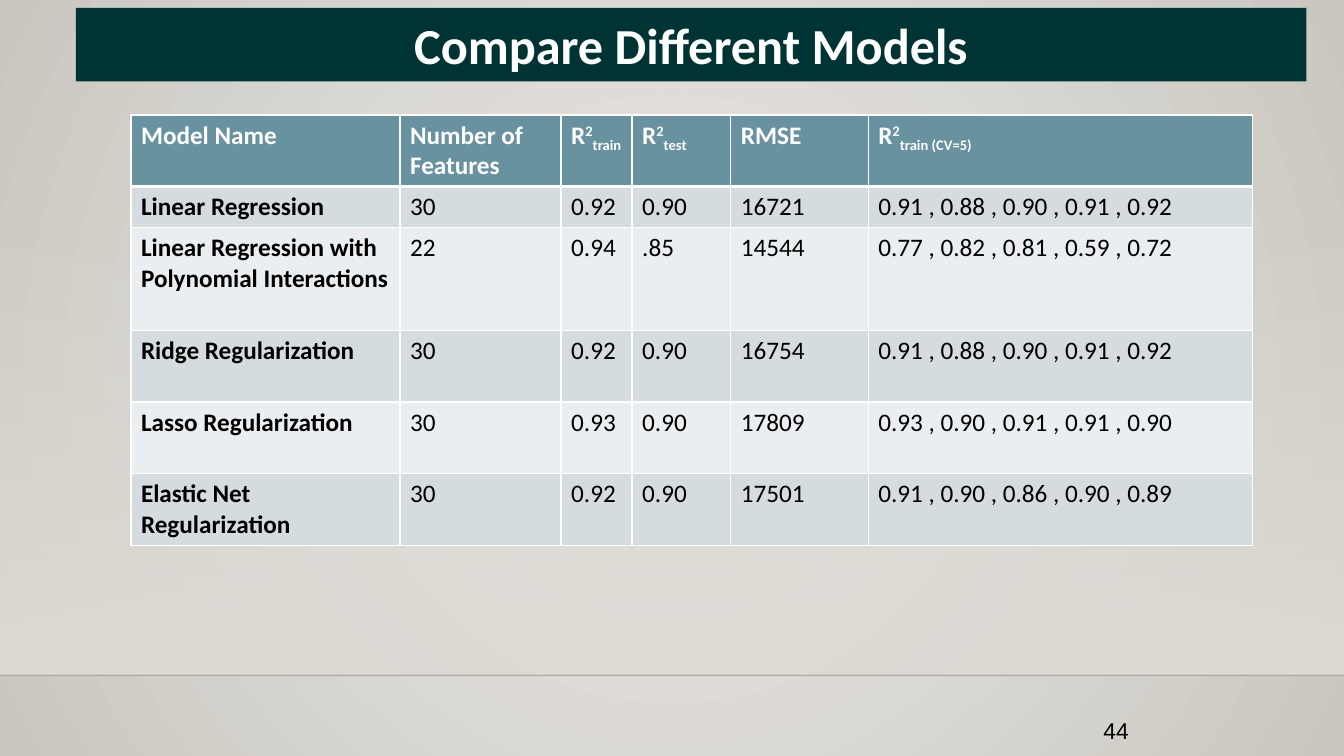
import pptx
import pptx.util
import pptx.dml.color
import pptx.enum.shapes
import pptx.enum.text
import pptx.oxml
import pptx.oxml.ns

Cm, Pt = pptx.util.Cm, pptx.util.Pt
RGBColor = pptx.dml.color.RGBColor

# Content
TITLE = "Compare Different Models"
PAGE = "44"
# A heading is a list of (text, baseline shift in percent)
HEADINGS = [
    [("Model Name", 0)],
    [("Number of Features", 0)],
    [("R", 0), ("2", 30), ("train", -25)],
    [("R", 0), ("2", 30), ("test", -25)],
    [("RMSE", 0)],
    [("R", 0), ("2", 30), ("train (CV=5)", -25)],
]
MODELS = [
    ("Linear Regression", "30", "0.92", "0.90", "16721", "0.91 , 0.88 , 0.90 , 0.91 , 0.92"),
    ("Linear Regression with Polynomial Interactions", "22", "0.94", ".85", "14544",
     "0.77 , 0.82 , 0.81 , 0.59 , 0.72"),
    ("Ridge Regularization", "30", "0.92", "0.90", "16754", "0.91 , 0.88 , 0.90 , 0.91 , 0.92"),
    ("Lasso Regularization", "30", "0.93", "0.90", "17809", "0.93 , 0.90 , 0.91 , 0.91 , 0.90"),
    ("Elastic Net Regularization", "30", "0.92", "0.90", "17501",
     "0.91 , 0.90 , 0.86 , 0.90 , 0.89"),
]
COLUMN_WIDTHS = [6.78, 4.06, 1.79, 2.49, 3.46, 9.68]
ROW_HEIGHTS = [1.8, 1.04, 2.58, 1.81, 1.81, 1.81]

WHITE = RGBColor(0xFF, 0xFF, 0xFF)
BLACK = RGBColor(0x00, 0x00, 0x00)
DARK_TEAL = RGBColor(0x00, 0x33, 0x33)
HEADER_BLUE = RGBColor(0x68, 0x92, 0xA0)
BANDS = [RGBColor(0xD4, 0xDC, 0xDF), RGBColor(0xEB, 0xEE, 0xF0)]
CENTRE_GREY = RGBColor(0xEC, 0xEA, 0xE7)
EDGE_GREY = RGBColor(0xCA, 0xC7, 0xC1)
WALL_GREY = RGBColor(0xDF, 0xDB, 0xD5)
NS = pptx.oxml.ns.nsdecls("a")


def gradient(start, end, direction, start_alpha=100):
    return pptx.oxml.parse_xml(
        f'<a:gradFill {NS} rotWithShape="1"><a:gsLst>'
        f'<a:gs pos="0"><a:srgbClr val="{start}"><a:alpha val="{start_alpha * 1000}"/>'
        f'</a:srgbClr></a:gs><a:gs pos="100000"><a:srgbClr val="{end}"/></a:gs>'
        f'</a:gsLst>{direction}</a:gradFill>')


def replace_gradient(fill, holder, new):
    fill.gradient()
    old = holder.find(pptx.oxml.ns.qn("a:gradFill"))
    holder.replace(old, new)


def add_run(paragraph, text, size, color, bold=False, font="Calibri", shift=0):
    run = paragraph.add_run()
    run.text = text
    run.font.name, run.font.size, run.font.bold = font, Pt(size), bold
    run.font.color.rgb = color
    if shift:
        run._r.get_or_add_rPr().set("baseline", str(shift * 1000))


def style_cell(cell, fill, top, bottom):
    properties = cell._tc.get_or_add_tcPr()
    for side, width in (("L", 1), ("R", 1), ("T", top), ("B", bottom)):
        properties.append(pptx.oxml.parse_xml(
            f'<a:ln{side} {NS} w="{Pt(width)}"><a:solidFill><a:srgbClr val="{WHITE}"/>'
            f'</a:solidFill><a:prstDash val="solid"/></a:ln{side}>'))
    cell.fill.solid()
    cell.fill.fore_color.rgb = fill


def main():
    deck = pptx.Presentation()
    deck.slide_width, deck.slide_height = Cm(33.87), Cm(19.05)
    slide = deck.slides.add_slide(deck.slide_layouts[5])
    shapes = slide.shapes

    # Background: round glow, wall fading in, floor line
    background = slide.background.fill
    background.gradient()
    glow = ('<a:path path="circle"><a:fillToRect l="50000" t="50000" r="50000" b="50000"/>'
            '</a:path>')
    replace_gradient(background, slide._element.cSld.bg.bgPr,
                     gradient(CENTRE_GREY, EDGE_GREY, glow))
    wall = shapes.add_shape(pptx.enum.shapes.MSO_SHAPE.RECTANGLE,
                            0, Cm(5.61), deck.slide_width, Cm(11.41))
    wall.shadow.inherit = False
    wall.line.fill.background()
    replace_gradient(wall.fill, wall._element.spPr,
                     gradient(WALL_GREY, WALL_GREY, '<a:lin ang="5400000" scaled="0"/>', 0))
    floor = shapes.add_connector(pptx.enum.shapes.MSO_CONNECTOR.STRAIGHT,
                                 0, Cm(17.02), deck.slide_width, Cm(17.02))
    floor.line.width = Pt(1)
    floor.line.color.rgb = BLACK
    floor_color = floor._element.spPr.find(".//" + pptx.oxml.ns.qn("a:srgbClr"))
    floor_color.append(pptx.oxml.parse_xml(f'<a:alpha {NS} val="20000"/>'))
    floor._element.spPr.append(pptx.oxml.parse_xml(f"<a:effectLst {NS}/>"))

    # Title bar
    title = shapes.title
    title.left, title.top, title.width, title.height = Cm(1.91), Cm(0.2), Cm(31.01), Cm(1.85)
    title.fill.solid()
    title.fill.fore_color.rgb = DARK_TEAL
    frame = title.text_frame
    frame.auto_size = pptx.enum.text.MSO_AUTO_SIZE.NONE
    frame.vertical_anchor = pptx.enum.text.MSO_ANCHOR.MIDDLE
    frame.margin_left = frame.margin_right = frame.margin_top = frame.margin_bottom = 0
    frame.paragraphs[0].alignment = pptx.enum.text.PP_ALIGN.CENTER
    add_run(frame.paragraphs[0], TITLE, 36, WHITE, bold=True)

    # Page number
    page = shapes.add_textbox(Cm(27.58), Cm(17.96), Cm(3.05), Cm(1.07)).text_frame
    page.word_wrap = True
    page.margin_left = page.margin_right = Cm(0.23)
    page.margin_top = page.margin_bottom = Cm(0.1)
    add_run(page.paragraphs[0], PAGE, 16.3, BLACK, font="Arial")

    # Model comparison table
    comparison = shapes.add_table(len(ROW_HEIGHTS), len(COLUMN_WIDTHS), Cm(3.3), Cm(2.9),
                                  Cm(sum(COLUMN_WIDTHS)), Cm(sum(ROW_HEIGHTS))).table
    for column, width in zip(comparison.columns, COLUMN_WIDTHS):
        column.width = Cm(width)
    for row, height in zip(comparison.rows, ROW_HEIGHTS):
        row.height = Cm(height)
    for c, heading in enumerate(HEADINGS):
        cell = comparison.cell(0, c)
        style_cell(cell, HEADER_BLUE, 1, 3)
        for text, shift in heading:
            add_run(cell.text_frame.paragraphs[0], text, 18, WHITE, bold=True, shift=shift)
    for r, model in enumerate(MODELS, 1):
        for c, text in enumerate(model):
            cell = comparison.cell(r, c)
            style_cell(cell, BANDS[(r - 1) % 2], 3 if r == 1 else 1, 1)
            add_run(cell.text_frame.paragraphs[0], text, 18, BLACK, bold=c == 0)

    deck.save("out.pptx")


if __name__ == "__main__":
    main()
